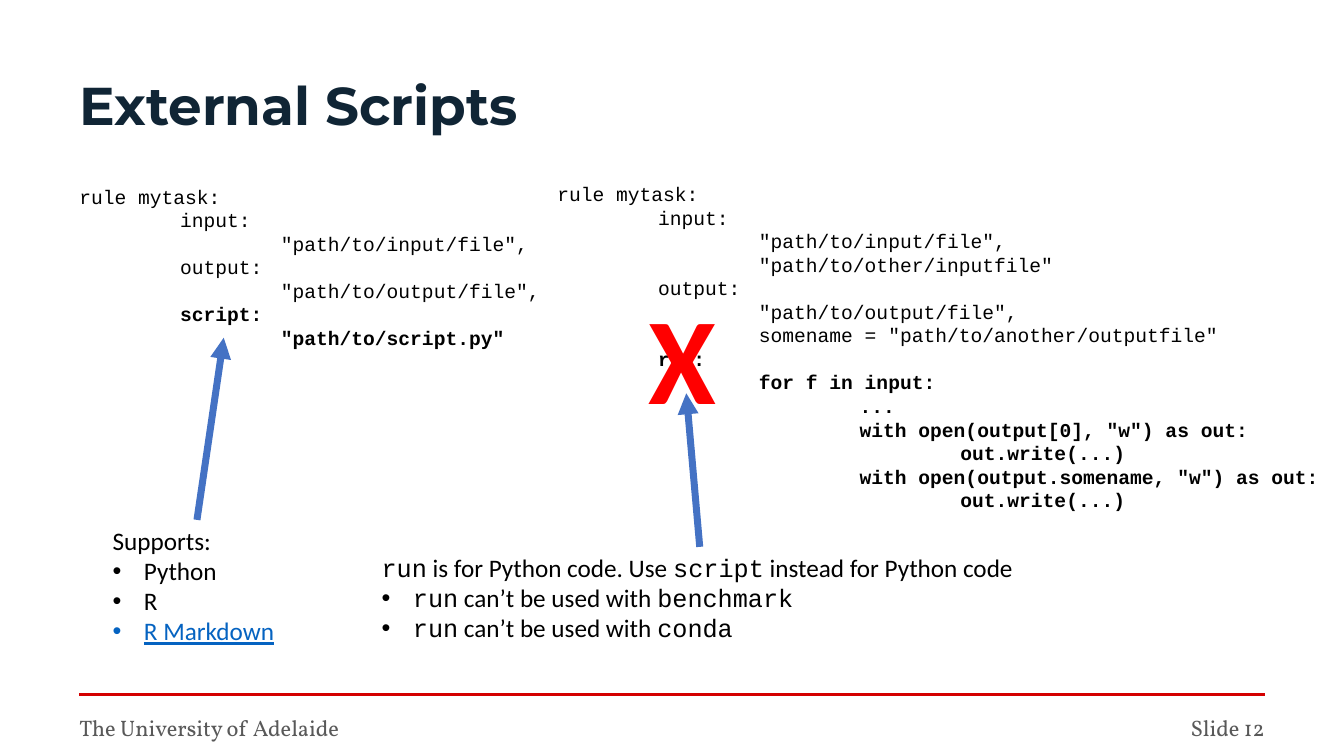
from collections import namedtuple
from dataclasses import dataclass

import pptx
import pptx.dml.color
import pptx.enum.shapes
import pptx.enum.text
import pptx.oxml
import pptx.oxml.ns
import pptx.util

Cm = pptx.util.Cm
Align = pptx.enum.text.PP_ALIGN
Box = namedtuple("Box", "left top width height")


@dataclass(frozen=True)
class Theme:
    title_font: str = "Montserrat"
    body_font: str = "Calibri"
    code_font: str = "Courier New"
    footer_font: str = "Vollkorn"
    title_size: int = 38
    body_size: int = 18
    code_size: int = 14
    footer_size: int = 16
    cross_size: int = 88
    title: str = "102535"
    ink: str = "000000"
    footer: str = "595959"
    link: str = "0563C1"
    cross: str = "FF0000"
    arrow: str = "4472C4"
    rule: str = "D40000"
    rule_width: float = 2.5
    arrow_width: float = 5


THEME = Theme()
INSET_X, INSET_Y = 0.25, 0.13
BULLET_INDENT = 0.79
TAB_STEP = 2.54

SCRIPT_RULE = """rule mytask:
\tinput:
\t\t"path/to/input/file",
\toutput:
\t\t"path/to/output/file",
\tscript:
\t\t"path/to/script.py\""""

RUN_RULE = """rule mytask:
\tinput:
\t\t"path/to/input/file",
\t\t"path/to/other/inputfile"
\toutput:
\t\t"path/to/output/file",
\t\tsomename = "path/to/another/outputfile"
\trun:
\t\tfor f in input:
\t\t\t...
\t\t\twith open(output[0], "w") as out:
\t\t\t\tout.write(...)
\t\t\twith open(output.somename, "w") as out:
\t\t\t\tout.write(...)"""


def rgb(colour):
    return pptx.dml.color.RGBColor.from_string(colour)


def append_xml(parent, tag, content=""):
    """Append a drawing element, given as its name with any attributes."""
    name = tag.split()[0]
    namespace = pptx.oxml.ns.nsdecls("a")
    parent.append(pptx.oxml.parse_xml(f"<a:{tag} {namespace}>{content}</a:{name}>"))


def add_frame(page, box, inset=True, wrap=True):
    shape = page.shapes.add_textbox(*map(Cm, box))
    frame = shape.text_frame
    frame.word_wrap = wrap
    frame.margin_left = frame.margin_right = Cm(INSET_X if inset else 0)
    frame.margin_top = frame.margin_bottom = Cm(INSET_Y if inset else 0)
    return shape


def write(shape, text, font=THEME.body_font, size=THEME.body_size, colour=THEME.ink,
          bold=False, underline=False, align=None, spacing=None, bullet=False):
    """Add one paragraph; words between backticks are set in the code font."""
    frame = shape.text_frame
    para = frame.paragraphs[0] if not frame.text else frame.add_paragraph()
    props = para._p.get_or_add_pPr()
    if bullet:
        props.set("marL", str(Cm(BULLET_INDENT)))
        props.set("indent", str(-Cm(BULLET_INDENT)))
        append_xml(props, 'buFont typeface="Arial"')
        append_xml(props, 'buChar char="•"')
    tabs = text.count("\t")
    if tabs:
        append_xml(props, "tabLst", "".join(
            f'<a:tab pos="{Cm(TAB_STEP * stop)}" algn="l"/>' for stop in range(1, tabs + 1)))
    if align is not None:
        para.alignment = align
    if spacing is not None:
        para.line_spacing = spacing
    for index, part in enumerate(text.split("`")):
        if not part:
            continue
        span = para.add_run()
        span.text = part
        span.font.name = THEME.code_font if index % 2 else font
        span.font.size = pptx.util.Pt(size)
        span.font.color.rgb = rgb(colour)
        span.font.bold = bold
        span.font.underline = underline


def add_line(page, start, end, colour, width, arrowhead=False):
    line = page.shapes.add_connector(
        pptx.enum.shapes.MSO_CONNECTOR.STRAIGHT, *map(Cm, (*start, *end)))
    line.line.color.rgb = rgb(colour)
    line.line.width = pptx.util.Pt(width)
    if arrowhead:
        append_xml(line.line._get_or_add_ln(), 'tailEnd type="triangle"')
    append_xml(line._element.spPr, "effectLst")
    return line


def add_title(page, box, text):
    write(add_frame(page, box, inset=False), text, font=THEME.title_font,
          size=THEME.title_size, colour=THEME.title, bold=True, spacing=0.9)


def add_footer(page, box, owner, number):
    """Draw the rule along the top of the box and both texts below it."""
    add_line(page, (box.left, box.top), (box.left + box.width, box.top),
             THEME.rule, THEME.rule_width)
    half = box.width / 2
    for column, (text, align) in enumerate(((owner, Align.LEFT), (number, Align.RIGHT))):
        place = Box(box.left + column * half, box.top + 0.5, half, box.height - 0.5)
        write(add_frame(page, place, inset=False), text, font=THEME.footer_font,
              size=THEME.footer_size, colour=THEME.footer, align=align)


def add_code(page, box, code, bold_from):
    """Set a listing, in bold from the line that holds the given keyword."""
    shape = add_frame(page, box)
    bold = False
    for line in code.splitlines():
        bold = bold or line.strip() == bold_from
        write(shape, line, font=THEME.code_font, size=THEME.code_size, bold=bold)


def add_note(page, box, heading, items, target, link=None):
    """Set a heading with bullets, and an arrow from its top to the target."""
    shape = add_frame(page, box)
    write(shape, heading)
    for item in items:
        is_link = item == link
        write(shape, item, bullet=True, underline=is_link,
              colour=THEME.link if is_link else THEME.ink)
    start = (box.left + box.width / 2, box.top)
    arrow = add_line(page, start, target, THEME.arrow, THEME.arrow_width, arrowhead=True)
    arrow.begin_connect(shape, 0)


def add_cross(page, box):
    write(add_frame(page, box, wrap=False), "X", size=THEME.cross_size,
          colour=THEME.cross, bold=True)


def main():
    deck = pptx.Presentation()
    deck.slide_width, deck.slide_height = Cm(33.88), Cm(19.05)
    page = deck.slides.add_slide(deck.slide_layouts[6])

    add_footer(page, Box(2, 17.5, 29.88, 1), "The University of Adelaide", "Slide 12")
    add_title(page, Box(2, 2, 29.88, 3), "External Scripts")
    add_code(page, Box(1.75, 4.52, 12.6, 4.45), SCRIPT_RULE, "script:")
    add_note(page, Box(2.59, 13.1, 4.75, 3.33), "Supports:",
             ("Python", "R", "R Markdown"), (5.64, 8.51), link="R Markdown")
    add_code(page, Box(13.8, 4.46, 19.91, 8.64), RUN_RULE, "run:")
    add_note(page, Box(9.37, 13.78, 16.54, 3.33),
             "`run` is for Python code. Use `script` instead for Python code",
             ("`run` can’t be used with `benchmark`", "`run` can’t be used with `conda`"),
             (17.3, 9.91))
    add_cross(page, Box(16.1, 6.96, 2.24, 4.01))
    deck.save("out.pptx")


if __name__ == "__main__":
    main()
